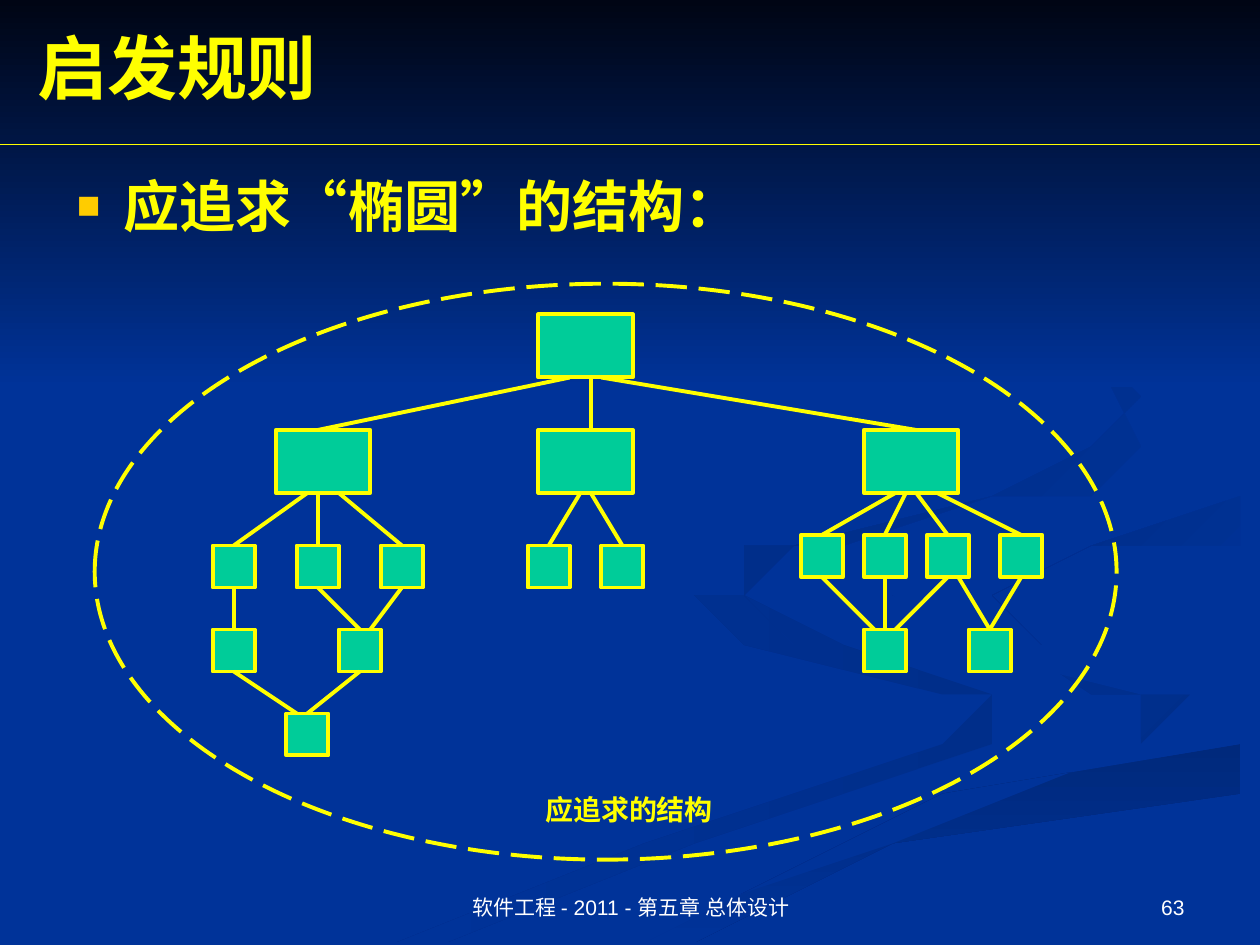
from lxml import etree
from pptx import Presentation
from pptx import util as u
from pptx.dml import color
from pptx.enum import dml, shapes, text
from pptx.oxml import ns

GOLD, GREEN, BLUE = "FFFF00", "00CC99", "003399"
STEP = 2.54 / 12

SWIRLS = [
    (("002E8A", BLUE), 180, [
        (19.8, 14), (17, 13.2), (15, 12.3), (14.6, 11.7), (14.5, 12), (15.3, 12.6),
        (19, 13.8), (19.9, 14.4), (19, 15.1), (12.7, 16.8), (7.6, 19), (9.2, 19),
        (14, 17), (19.8, 15.4), (20.3, 14.7)]),
    (("002E8A", BLUE), 225, [
        (23.9, 14.4), (23, 13.7), (19.7, 12.7), (18.4, 11.8), (18.7, 12.4), (21.7, 13.7),
        (23.2, 14.5), (22.7, 15.4), (23.8, 14.9)]),
    (("00297C", BLUE), 90, [
        (12.8, 19), (14.5, 19), (18.4, 17.3), (25.4, 15.5), (25.4, 14.8), (19.4, 16.4)]),
    ((BLUE,), 0, [
        (18.4, 11.8), (19.3, 12.6), (23, 13.7), (23.9, 14.5), (22.9, 15.3), (17.9, 16.7),
        (12.1, 19), (13.2, 19), (19.4, 16.4), (25.4, 14.8), (25.4, 13.7), (20.4, 12.3),
        (19.9, 11.6), (21.6, 10.8), (25.4, 10.2), (25.4, 9.8), (19.2, 11)]),
    ((BLUE, "002C85"), 225, [
        (19.8, 11.7), (21, 12.6), (20.5, 11.8), (22.3, 11.1), (25.4, 10.7), (25.4, 10.2),
        (21.6, 10.8)]),
    ((BLUE, "002B81"), 225, [
        (17.3, 10.9), (20.4, 10.2), (22.3, 9.6), (22.7, 8.7), (21.9, 7.4), (19.4, 5.9),
        (21.9, 7.4), (22.6, 8.5), (21.9, 9.4), (20.1, 10), (16.5, 10.7), (14.8, 11.4),
        (14.7, 12), (15.8, 12.7), (15.1, 11.9), (15.6, 11.4)]),
]

BIG = [(31, 0), (6, 11), (62, 11), (31, 11)]
SMALL = {21: (56, 62, 68, 75), 22: (0, 8, 16, 30, 37), 30: (0, 12, 62, 72), 38: (7,)}
LINKS = {
    (6, 11): [(36, 36), (34, 10), (37, 67)],
    (17, 22): [(10, 10), (9, 2), (12, 18), (35, 32), (36, 39)],
    (17, 21): [(65, 58), (66, 64), (67, 70), (69, 77)],
    (26, 30): [(2, 2), (10, 14), (18, 15)],
    (25, 30): [(64, 64), (58, 63), (70, 65), (71, 74), (77, 74)],
    (34, 38): [(2, 8), (14, 9)],
}


def rgb(code):
    """Turn a hex string into a colour."""
    return color.RGBColor.from_string(code)


def paint(shape, fills=(), angle=0, line=None, width=2.25):
    """Set the fill, the outline and no shadow."""
    shape.shadow.inherit = False
    if len(fills) == 2:
        shape.fill.gradient()
        shape.fill.gradient_angle = (360 - angle) % 360
        for stop, code in zip(shape.fill.gradient_stops, fills):
            stop.color.rgb = rgb(code)
    elif fills:
        shape.fill.solid()
        shape.fill.fore_color.rgb = rgb(fills[0])
    else:
        shape.fill.background()
    if line:
        shape.line.color.rgb = rgb(line)
        shape.line.width = u.Pt(width)
    else:
        shape.line.fill.background()


def block(slide, kind, box, **look):
    """Add a painted preset shape."""
    shape = slide.shapes.add_shape(kind, *map(u.Cm, box))
    paint(shape, **look)
    return shape


def link(slide, ends, width=2.25):
    """Add a straight gold line."""
    line = slide.shapes.add_connector(shapes.MSO_CONNECTOR.STRAIGHT, *map(u.Cm, ends))
    line.line.color.rgb = rgb(GOLD)
    line.line.width = u.Pt(width)
    etree.SubElement(line._element.spPr, ns.qn("a:effectLst"))


def mark(para):
    """Give a paragraph a square bullet."""
    props = para._p.get_or_add_pPr()
    props.set("marL", str(u.Cm(0.95)))
    props.set("indent", str(u.Cm(-0.95)))
    tint = etree.SubElement(props, ns.qn("a:buClr"))
    etree.SubElement(tint, ns.qn("a:srgbClr"), val="FFCC00")
    etree.SubElement(props, ns.qn("a:buSzPct"), val="70000")
    etree.SubElement(props, ns.qn("a:buFont"), typeface="Arial")
    etree.SubElement(props, ns.qn("a:buChar"), char="■")


def write(slide, words, box, size=12, font="Times New Roman", tint=GOLD, bold=True,
          align="LEFT", anchor="TOP", bullet=False):
    """Add a formatted text box."""
    frame = slide.shapes.add_textbox(*map(u.Cm, box)).text_frame
    frame.word_wrap = True
    frame.vertical_anchor = text.MSO_ANCHOR[anchor]
    para = frame.paragraphs[0]
    if bullet:
        mark(para)
    para.alignment = text.PP_ALIGN[align]
    run = para.add_run()
    run.text = words
    run.font.size, run.font.name, run.font.bold = u.Pt(size), font, bold
    run.font.color.rgb = rgb(tint)


def back(slide, box):
    """Draw the swirls and the dark band at the top."""
    left, top, wide, high = box
    slide.background.fill.solid()
    slide.background.fill.fore_color.rgb = rgb(BLUE)
    for fills, angle, dots in SWIRLS:
        pen = slide.shapes.build_freeform(*dots[0], scale=float(u.Cm(1)))
        pen.add_line_segments(dots[1:], close=True)
        paint(pen.convert_to_shape(u.Cm(left), u.Cm(top)), fills, angle)
    block(slide, shapes.MSO_SHAPE.RECTANGLE, (left, top, wide, high * 0.41),
          fills=("000514", BLUE), angle=90)


def head(slide, box):
    """Write the title above its rule."""
    left, top, wide, high = box
    write(slide, "启发规则", (left + 0.5, top + 0.36, wide - 0.5, 1.96), size=40, anchor="MIDDLE")
    link(slide, (left, top + high, left + wide, top + high), width=0.75)


def tree(slide, box):
    """Draw the module tree inside its dashed ellipse."""
    left, top, wide, high = box
    x, y = left + 2.38, top + 0.62
    nodes = [(col, row, 9, 6) for col, row in BIG]
    nodes += [(col, row, 4, 4) for row, cols in SMALL.items() for col in cols]
    for col, row, w, h in nodes:
        block(slide, shapes.MSO_SHAPE.RECTANGLE,
              (x + col * STEP, y + row * STEP, w * STEP, h * STEP), fills=(GREEN,), line=GOLD)
    for (start, end), pairs in LINKS.items():
        for a, b in pairs:
            link(slide, (x + a * STEP, y + start * STEP, x + b * STEP, y + end * STEP))
    write(slide, "应追求的结构", (left + 6.43, top + 10.13, 8.69, 0.94), size=16, align="CENTER")
    ring = block(slide, shapes.MSO_SHAPE.OVAL, (left, top, wide, high), line=GOLD)
    ring.line.dash_style = dml.MSO_LINE.LONG_DASH


def foot(slide, box):
    """Write the course line and the page number."""
    left, top, wide, high = box
    look = dict(font="Arial", tint="FFFFFF", bold=False, anchor="BOTTOM")
    write(slide, "软件工程 - 2011 - 第五章 总体设计", (left + 8.69, top, 8.05, high),
          align="CENTER", **look)
    write(slide, "63", (left + wide - 7.19, top, 5.92, high), align="RIGHT", **look)


def main():
    """Build and save the slide."""
    deck = Presentation()
    deck.slide_width, deck.slide_height = u.Cm(25.4), u.Cm(19.05)
    slide = deck.slides.add_slide(deck.slide_layouts[6])
    back(slide, (0, 0, 25.4, 19.05))
    write(slide, "应追求“椭圆”的结构：", (1.3, 3.33, 22.86, 12.57), size=32, bullet=True)
    head(slide, (0, 0, 25.4, 2.92))
    tree(slide, (1.91, 5.72, 20.6, 11.61))
    foot(slide, (0, 17.35, 25.4, 1.32))
    deck.save("out.pptx")


if __name__ == "__main__":
    main()
